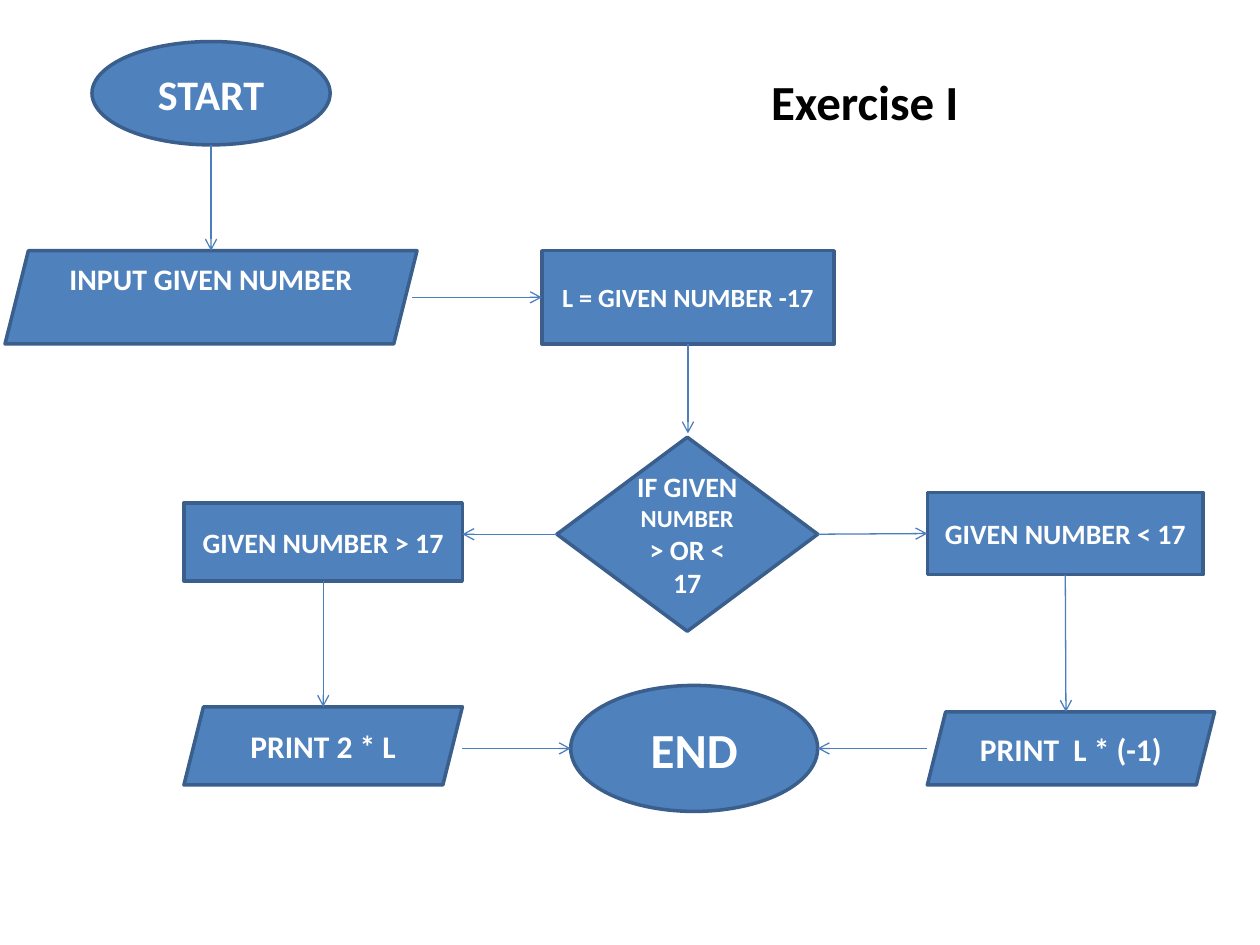
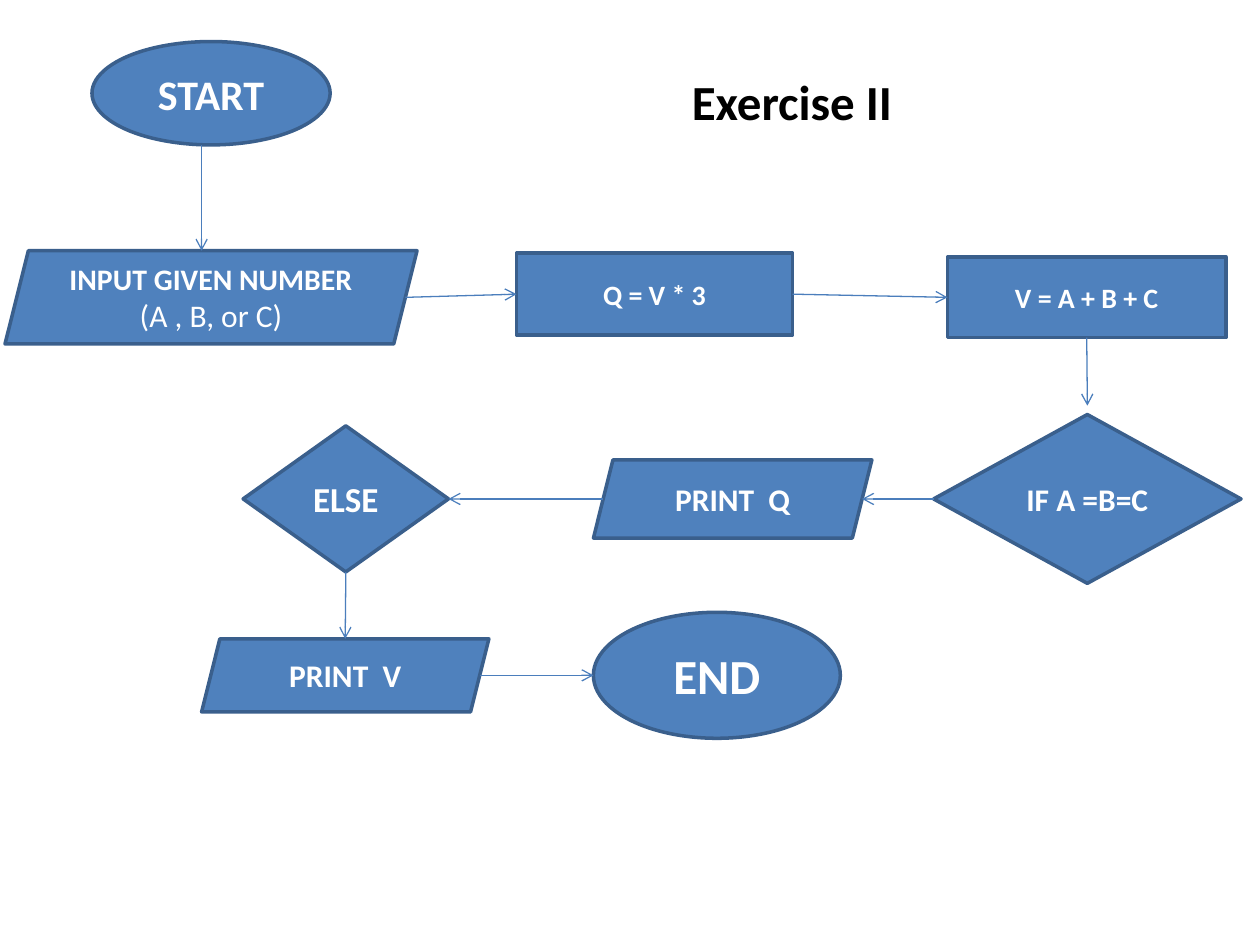
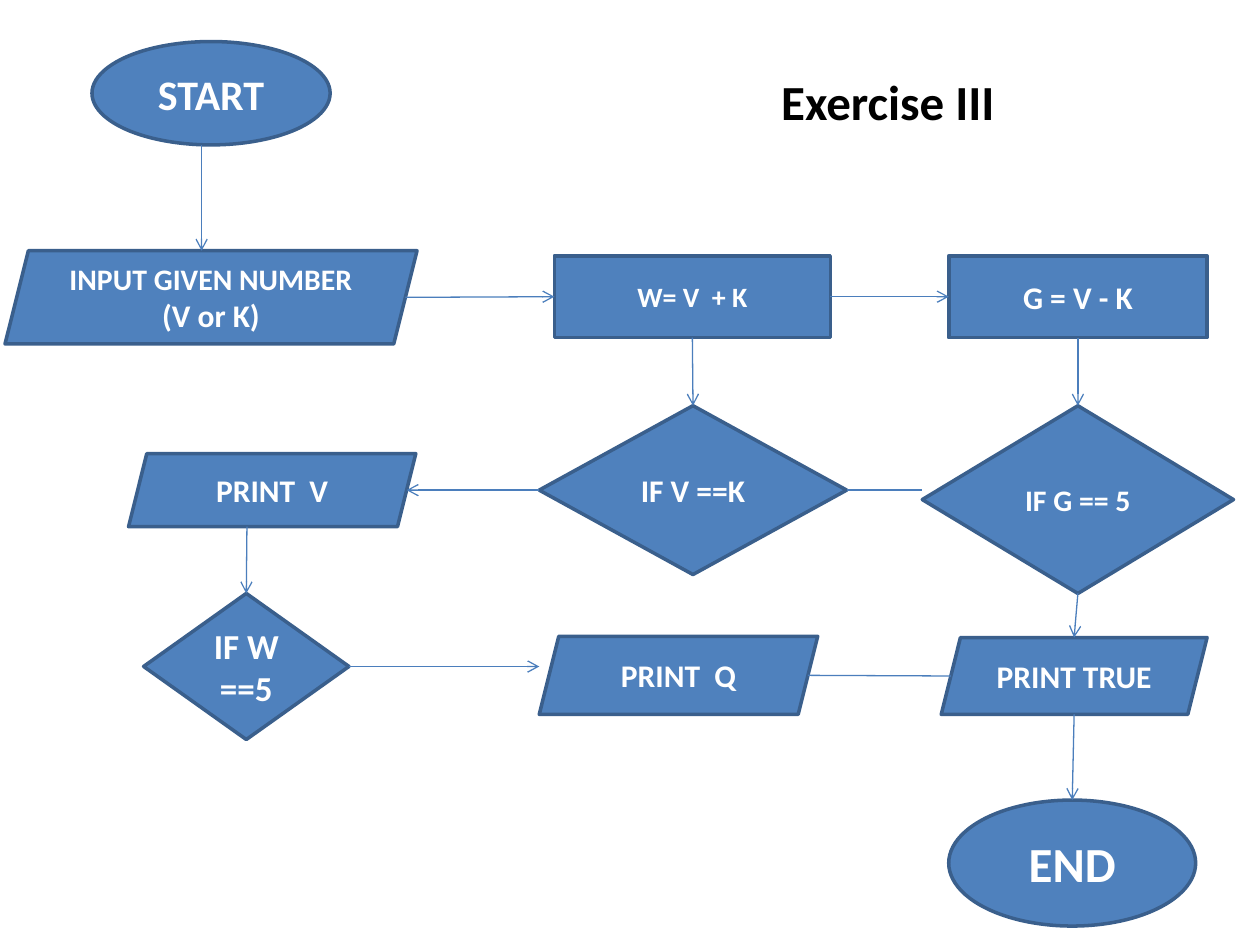
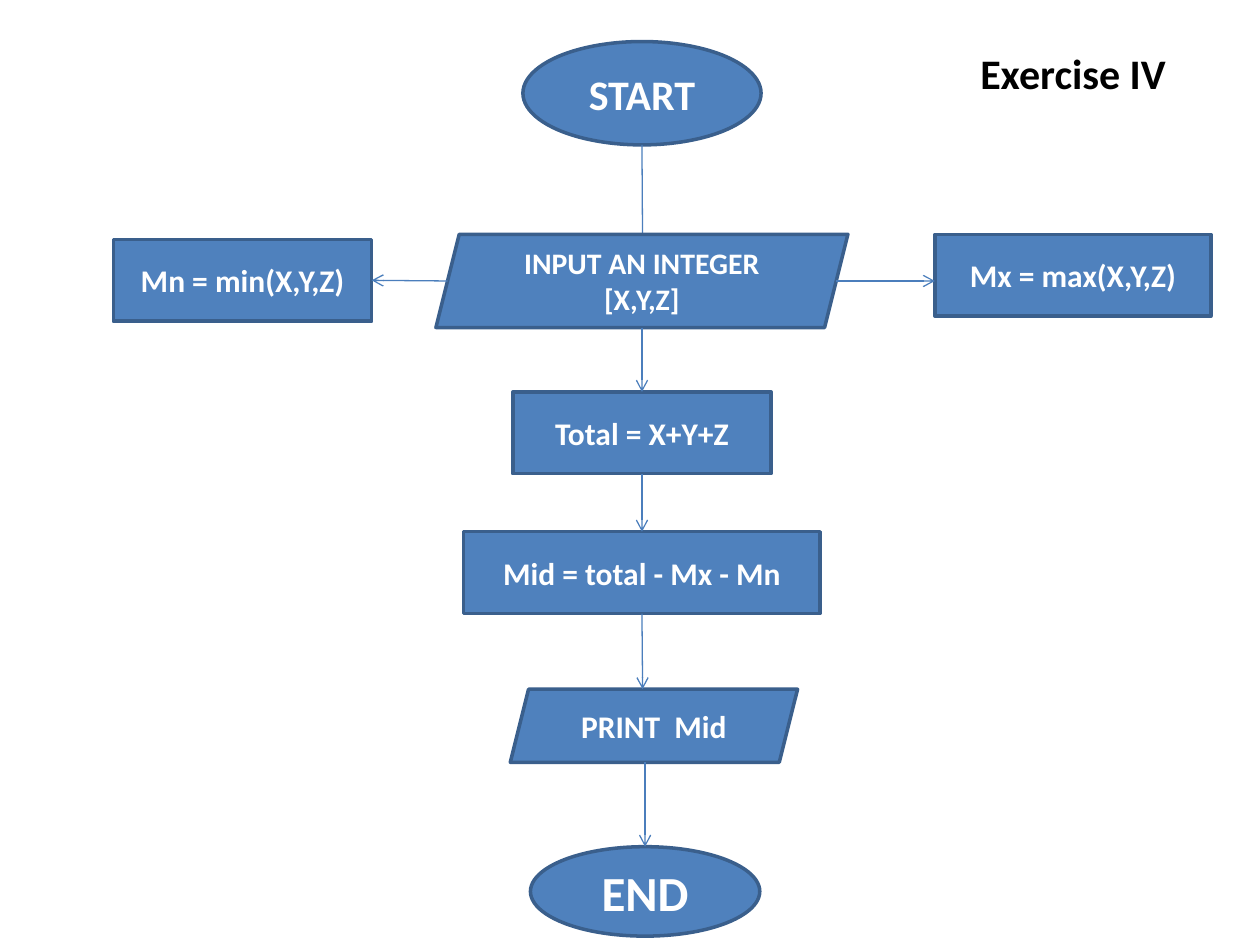
from lxml import etree
from pptx import Presentation
from pptx.dml.color import RGBColor
from pptx.enum.shapes import MSO_CONNECTOR, MSO_SHAPE
from pptx.enum.text import MSO_ANCHOR, MSO_AUTO_SIZE, PP_ALIGN
from pptx.oxml.ns import qn
from pptx.util import Inches, Pt

# Shared style
FONT = "Calibri"
BLUE = RGBColor(0x4F, 0x81, 0xBD)
OUTLINE = RGBColor(0x3A, 0x5F, 0x8C)
ARROW = RGBColor(0x4B, 0x7E, 0xBC)
WHITE = RGBColor(0xFF, 0xFF, 0xFF)
BLACK = RGBColor(0x00, 0x00, 0x00)

OVAL = MSO_SHAPE.OVAL
RECT = MSO_SHAPE.RECTANGLE
IO_BOX = MSO_SHAPE.PARALLELOGRAM
DECISION = MSO_SHAPE.FLOWCHART_DECISION
DIAMOND = MSO_SHAPE.DIAMOND
STRAIGHT = MSO_CONNECTOR.STRAIGHT
CENTER, LEFT_ALIGN = PP_ALIGN.CENTER, PP_ALIGN.LEFT
MIDDLE, ANCHOR_TOP = MSO_ANCHOR.MIDDLE, MSO_ANCHOR.TOP
NO_AUTOFIT = MSO_AUTO_SIZE.NONE

TOP, LEFT, BOTTOM, RIGHT = range(4)
JOINABLE = (RECT, DECISION, DIAMOND)
TITLE_ONLY = 5
START_AT = (0.73, 0.33, 1.89, 0.82)
INPUT_AT = (0.04, 1.99, 3.27, 0.74)


class Flowchart:
    """Holds the style and the current slide."""

    def __init__(self, prs):
        self.prs = prs
        self.s = None

    def style(self, p, size, color, bold=True, align=CENTER):
        p.alignment = align
        p.font.name = FONT
        p.font.size = Pt(size)
        p.font.bold = bold
        p.font.color.rgb = color

    def slide(self, title, at, size=28):
        self.s = self.prs.slides.add_slide(self.prs.slide_layouts[TITLE_ONLY])
        sp = self.s.shapes.title
        sp.left, sp.top, sp.width, sp.height = map(Inches, at)
        tf = sp.text_frame
        tf.text = title
        tf.word_wrap = True
        tf.auto_size = NO_AUTOFIT
        tf.vertical_anchor = ANCHOR_TOP
        self.style(tf.paragraphs[0], size, BLACK, align=LEFT_ALIGN)

    def box(self, kind, at, *lines):
        """Each line is (text, size) or (text, size, bold)."""
        sp = self.s.shapes.add_shape(kind, *map(Inches, at))
        sp.shadow.inherit = False
        sp.fill.solid()
        sp.fill.fore_color.rgb = BLUE
        sp.line.color.rgb = OUTLINE
        sp.line.width = Pt(2)
        tf = sp.text_frame
        tf.word_wrap = True
        tf.vertical_anchor = MIDDLE
        for i, (text, *look) in enumerate(lines):
            p = tf.add_paragraph() if i else tf.paragraphs[0]
            if text:
                p.add_run().text = text
            self.style(p, look[0], WHITE, *look[1:])
        return sp

    def start(self, at=START_AT):
        return self.box(OVAL, at, ("START", 24))

    def end(self, left, top, width=1.96, height=1):
        return self.box(OVAL, (left, top, width, height), ("END", 28))

    def side_point(self, sp, side):
        """Middle of a side; a parallelogram's slanted sides lie further in."""
        inset = 0
        if sp.auto_shape_type == IO_BOX:
            inset = min(sp.width, sp.height) // 8
        x, y = sp.left + sp.width // 2, sp.top + sp.height // 2
        return {TOP: (x, sp.top), LEFT: (sp.left + inset, y),
                BOTTOM: (x, sp.top + sp.height),
                RIGHT: (sp.left + sp.width - inset, y)}[side]

    def link(self, begin, end, head=True):
        """Each end is (shape, side) or a point (x, y) in inches."""
        points, joins = [], []
        for a, b in (begin, end):
            is_point = isinstance(a, (int, float))
            points += (Inches(a), Inches(b)) if is_point else self.side_point(a, b)
            joins.append(not is_point and a.auto_shape_type in JOINABLE)
        c = self.s.shapes.add_connector(STRAIGHT, *points)
        if joins[0]:
            c.begin_connect(*begin)
        if joins[1]:
            c.end_connect(*end)
        c.line.color.rgb = ARROW
        c.line.width = Pt(0.75)
        sp_pr = c._element.spPr
        if head:
            etree.SubElement(sp_pr.find(qn("a:ln")), qn("a:tailEnd"), type="arrow")
        etree.SubElement(sp_pr, qn("a:effectLst"))


def exercise_1(f):
    f.slide("Exercise I", (6.02, 0.52, 1.71, 0.57))
    # Steps
    start = f.start()
    given = f.box(IO_BOX, INPUT_AT, ("INPUT GIVEN NUMBER", 17))
    given.text_frame.vertical_anchor = ANCHOR_TOP
    given.text_frame.margin_top = 0
    minus = f.box(RECT, (4.3, 1.99, 2.32, 0.74), ("L = GIVEN NUMBER -17", 15))
    compare = f.box(DECISION, (4.42, 3.47, 2.07, 1.54), ("", 16))
    p = compare.text_frame.paragraphs[0]
    for text, size in (("IF GIVEN ", 16), ("NUMBER ", 14), ("> OR < 17", 16)):
        r = p.add_run()
        r.text = text
        r.font.size = Pt(size)
    above = f.box(RECT, (1.46, 3.99, 2.21, 0.62), ("GIVEN NUMBER > 17", 16))
    below = f.box(RECT, (7.36, 3.91, 2.19, 0.65), ("GIVEN NUMBER < 17", 16))
    double = f.box(IO_BOX, (1.46, 5.61, 2.21, 0.62), ("PRINT 2 * L", 18))
    f.box(IO_BOX, (7.36, 5.65, 2.28, 0.58), ("PRINT  L * (-1)", 18))
    end = f.end(4.53, 5.44)
    # Flow
    f.link((start, BOTTOM), (given, TOP))
    f.link((3.27, 2.36), (minus, LEFT))
    f.link((minus, BOTTOM), (5.46, 3.44))
    f.link((compare, LEFT), (3.67, 4.24))
    f.link((compare, RIGHT), (below, LEFT))
    f.link((above, BOTTOM), (double, TOP))
    f.link((below, BOTTOM), (8.46, 5.65))
    f.link((3.67, 5.94), (end, LEFT))
    f.link((7.36, 5.94), (end, RIGHT))


def exercise_2(f):
    f.slide("Exercise II", (5.39, 0.52, 2.13, 0.57))
    # Steps
    f.start()
    given = f.box(IO_BOX, INPUT_AT, ("INPUT GIVEN NUMBER", 17),
                  ("(A , B, or C)", 18, False))
    triple = f.box(RECT, (4.1, 2.01, 2.19, 0.65), ("Q = V * 3", 16))
    total = f.box(RECT, (7.52, 2.04, 2.21, 0.64), ("V = A + B + C", 16))
    equal = f.box(DECISION, (7.41, 3.29, 2.44, 1.34), ("IF A =B=C", 18))
    print_q = f.box(IO_BOX, (4.71, 3.65, 2.21, 0.62), ("PRINT  Q", 18))
    otherwise = f.box(DECISION, (1.93, 3.38, 1.63, 1.16), ("ELSE", 20))
    print_v = f.box(IO_BOX, (1.6, 5.07, 2.28, 0.58), ("PRINT  V", 18))
    end = f.end(4.71, 4.86)
    # Flow
    f.link((1.6, 1.15), (1.6, 1.99))
    f.link((given, RIGHT), (triple, LEFT))
    f.link((triple, RIGHT), (total, LEFT))
    f.link((total, BOTTOM), (8.63, 3.22))
    f.link((equal, LEFT), (print_q, RIGHT))
    f.link((print_q, LEFT), (otherwise, RIGHT))
    f.link((otherwise, BOTTOM), (print_v, TOP))
    f.link((print_v, RIGHT), (end, LEFT))


def exercise_3(f):
    f.slide("Exercise III", (6.1, 0.52, 1.92, 0.57))
    # Steps
    f.start()
    given = f.box(IO_BOX, INPUT_AT, ("INPUT GIVEN NUMBER", 17), ("(V or K)", 18))
    plus = f.box(RECT, (4.4, 2.03, 2.19, 0.65), ("W= V  + K", 16))
    minus = f.box(RECT, (7.53, 2.03, 2.05, 0.65), ("G = V - K", 18))
    if_equal = f.box(DECISION, (4.28, 3.22, 2.44, 1.34), ("IF V ==K", 18))
    if_g = f.box(DIAMOND, (7.32, 3.22, 2.47, 1.49), ("IF G == 5", 17))
    if_w = f.box(DECISION, (1.14, 4.71, 1.63, 1.16), ("IF W ==5", 20))
    print_v = f.box(IO_BOX, (1.02, 3.6, 2.28, 0.58), ("PRINT  V", 18))
    print_q = f.box(IO_BOX, (4.28, 5.05, 2.21, 0.62), ("PRINT  Q", 18))
    print_true = f.box(IO_BOX, (7.47, 5.06, 2.11, 0.61), ("PRINT TRUE", 18))
    end = f.end(7.53, 6.35)
    # Flow
    f.link((1.6, 1.15), (1.6, 1.99))
    f.link((given, RIGHT), (plus, LEFT))
    f.link((plus, RIGHT), (minus, LEFT))
    f.link((plus, BOTTOM), (if_equal, TOP))
    f.link((minus, BOTTOM), (if_g, TOP))
    f.link((if_equal, LEFT), (print_v, RIGHT))
    f.link((if_equal, RIGHT), (7.32, 3.89), head=False)
    f.link((1.96, 4.18), (if_w, TOP))
    f.link((if_w, RIGHT), (4.28, 5.29))
    f.link((print_q, RIGHT), (print_true, LEFT), head=False)
    f.link((if_g, BOTTOM), (print_true, TOP))
    f.link((print_true, BOTTOM), (end, TOP))


def exercise_4(f):
    f.slide("Exercise IV", (7.68, 0.33, 2.13, 0.5), 24)
    # Steps; the first arrow runs behind the input box
    start = f.start((4.15, 0.33, 1.89, 0.82))
    f.link((start, BOTTOM), (5.1, 1.99))
    given = f.box(IO_BOX, (3.46, 1.86, 3.27, 0.74), ("INPUT AN INTEGER [X,Y,Z]", 17))
    low = f.box(RECT, (0.9, 1.9, 2.05, 0.65), ("Mn = min(X,Y,Z)", 18))
    f.box(RECT, (7.42, 1.86, 2.19, 0.65), ("Mx = max(X,Y,Z)", 18))
    total = f.box(RECT, (4.07, 3.11, 2.05, 0.65), ("Total = X+Y+Z", 18))
    mid = f.box(RECT, (3.68, 4.22, 2.83, 0.65), ("Mid = total - Mx - Mn", 18))
    f.box(IO_BOX, (4.05, 5.47, 2.28, 0.58), ("PRINT  Mid", 18))
    end = f.end(4.21, 6.72, 1.82, 0.71)
    # Flow
    f.link((given, LEFT), (low, RIGHT))
    f.link((given, RIGHT), (7.42, 2.23))
    f.link((given, BOTTOM), (total, TOP))
    f.link((total, BOTTOM), (mid, TOP))
    f.link((mid, BOTTOM), (5.1, 5.47))
    f.link((5.12, 6.05), (end, TOP))


def main():
    prs = Presentation()
    prs.slide_width, prs.slide_height = Inches(10), Inches(7.5)
    f = Flowchart(prs)
    for exercise in (exercise_1, exercise_2, exercise_3, exercise_4):
        exercise(f)
    prs.save("out.pptx")


if __name__ == "__main__":
    main()
